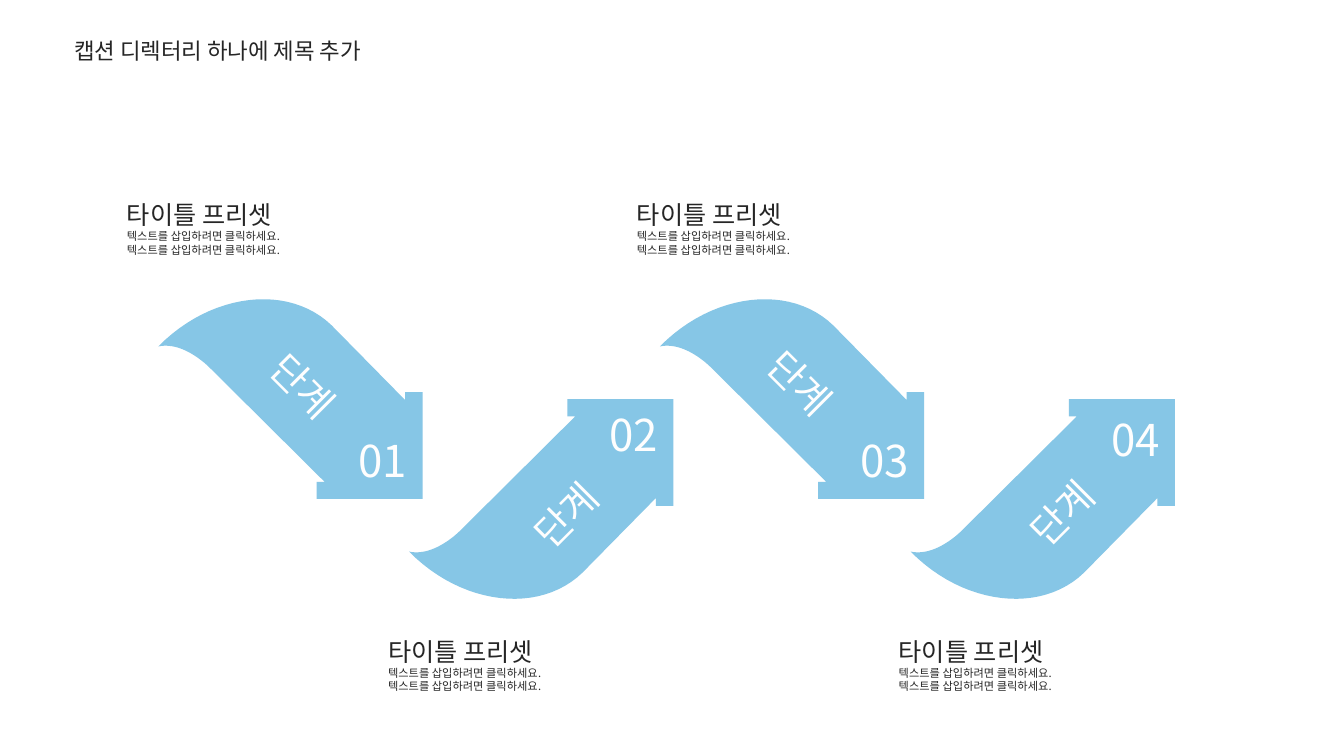
from dataclasses import dataclass

import pptx
import pptx.dml.color
import pptx.enum.shapes
import pptx.enum.text
import pptx.oxml.ns
import pptx.util
from lxml import etree
from pptx.util import Cm


@dataclass(frozen=True)
class Theme:
    font: str = "Noto Sans CJK KR"
    arrow: str = "86C6E6"
    light: str = "FEFEFE"
    dark: str = "262626"
    heading: float = 16
    caption: float = 18
    detail: float = 8
    number: float = 31.3
    step: float = 27.5
    leading: float = 1.2


THEME = Theme()
CAPTION_TITLE = "타이틀 프리셋"
CAPTION_DETAIL = "텍스트를 삽입하려면 클릭하세요."

# All positions below are in centimetres
ARROW_LEFT, ARROW_PITCH, ARROW_HEIGHT = 3.99, 6.32, 5.03
ARROW_TOPS = (7.54, 10.06)  # falling, rising
CAPTION_TOPS = (4.9, 15.9)
NUMBER_OFFSET = 4.8

# Number, number top, step label left and top, caption left
STAGES = [
    ("01", 10.8, 6.5, 9.04, 2.95),
    ("02", 10.13, 13.11, 12.24, 9.53),
    ("03", 10.8, 19.02, 8.97, 15.8),
    ("04", 10.26, 25.6, 12.17, 22.4),
]


def curve(start, control1, control2, end, steps=24):
    """Points along a cubic curve, without its start."""
    points = []
    for i in range(1, steps + 1):
        t = i / steps
        weights = ((1 - t) ** 3, 3 * t * (1 - t) ** 2, 3 * t * t * (1 - t), t ** 3)
        corners = (start, control1, control2, end)
        points.append(tuple(sum(w * c[axis] for w, c in zip(weights, corners))
                            for axis in (0, 1)))
    return points


# Falling arrow, measured from its top left corner
ARROW_OUTLINE = [
    (6.66, 5.03), (6.66, 2.34), (6.22, 2.34), (6.22, 2.54), (4.37, 0.66),
    *curve((4.37, 0.66), (3.3, -0.38), (1.35, -0.18), (0, 1.19)),
    *curve((0, 1.19), (0.56, 1.07), (1.12, 1.55), (1.3, 1.73)),
    (4.19, 4.6), (3.99, 4.6), (3.99, 5.03),
]


def rgb(value):
    return pptx.dml.color.RGBColor.from_string(value)


def paint(shape):
    shape.shadow.inherit = False
    shape.fill.solid()
    shape.fill.fore_color.rgb = rgb(THEME.arrow)
    shape.line.fill.background()


def write(paragraph, text, size, color, align=pptx.enum.text.PP_ALIGN.LEFT):
    paragraph.alignment = align
    paragraph.line_spacing = pptx.util.Pt(size * THEME.leading)
    run = paragraph.add_run()
    run.text = text
    run.font.size = pptx.util.Pt(size)
    run.font.color.rgb = rgb(color)
    run.font.name = THEME.font
    # East Asian typeface for the Korean letters
    east_asian = etree.SubElement(run.font._element, pptx.oxml.ns.qn("a:ea"))
    east_asian.set("typeface", THEME.font)


def add_arrow(slide, left, top, rising):
    points = [(Cm(left + x), Cm(top + (ARROW_HEIGHT - y if rising else y)))
              for x, y in ARROW_OUTLINE]
    builder = slide.shapes.build_freeform(*points[0])
    builder.add_line_segments(points[1:], close=True)
    paint(builder.convert_to_shape())


def add_label(slide, text, size, left, top, width, height, rotation=0):
    label = slide.shapes.add_shape(pptx.enum.shapes.MSO_SHAPE.RECTANGLE,
                                   Cm(left), Cm(top), Cm(width), Cm(height))
    paint(label)
    label.rotation = rotation
    label.text_frame.word_wrap = False
    label.text_frame.vertical_anchor = pptx.enum.text.MSO_ANCHOR.MIDDLE
    write(label.text_frame.paragraphs[0], text, size, THEME.light)


def add_caption(slide, left, top):
    caption = slide.shapes.add_textbox(Cm(left), Cm(top), Cm(4.42), Cm(3.05))
    frame = caption.text_frame
    frame.word_wrap = False
    write(frame.paragraphs[0], CAPTION_TITLE, THEME.caption, THEME.dark)
    for _ in range(2):
        write(frame.add_paragraph(), CAPTION_DETAIL, THEME.detail, THEME.dark)


def add_heading(slide, text):
    heading = slide.shapes.add_textbox(Cm(0.15), Cm(0.81), Cm(10.67), Cm(0.94))
    heading.text_frame.word_wrap = True
    write(heading.text_frame.paragraphs[0], text, THEME.heading, THEME.dark,
          pptx.enum.text.PP_ALIGN.CENTER)


def main():
    deck = pptx.Presentation()
    deck.slide_width, deck.slide_height = Cm(33.87), Cm(19.05)
    slide = deck.slides.add_slide(deck.slide_layouts[6])

    # Stages alternate between falling and rising arrows
    for i, (number, number_top, step_left, step_top, _) in enumerate(STAGES):
        rising = i % 2
        left = ARROW_LEFT + i * ARROW_PITCH
        add_arrow(slide, left, ARROW_TOPS[rising], rising)
        add_label(slide, number, THEME.number, left + NUMBER_OFFSET, number_top, 1.78, 1.6)
        add_label(slide, "단계", THEME.step, step_left, step_top, 2.36, 1.42,
                  rotation=315 if rising else 45)

    # Captions above falling arrows and below rising ones
    for i, (*_, caption_left) in enumerate(STAGES):
        add_caption(slide, caption_left, CAPTION_TOPS[i % 2])

    add_heading(slide, "캡션 디렉터리 하나에 제목 추가")
    deck.save("out.pptx")


if __name__ == "__main__":
    main()
